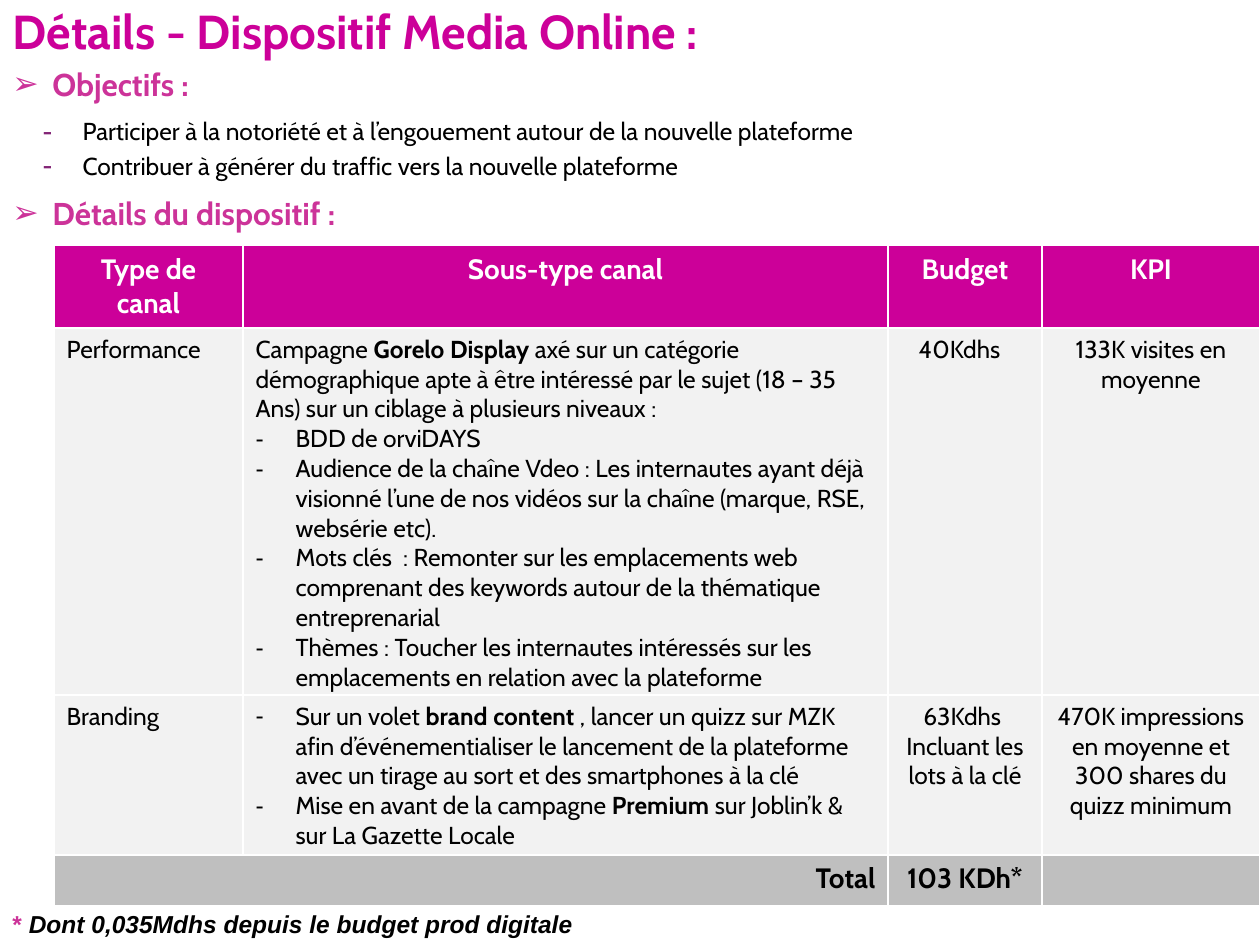
import pptx
import pptx.util
import pptx.dml.color
import pptx.enum.text
import pptx.oxml.ns
import lxml.etree

SCALE = 914400 / 126
HEX = {
    "pink": "CC0099",
    "rose": "CC3399",
    "plum": "832476",
    "black": "000000",
    "white": "FFFFFF",
    "pale": "F2F2F2",
    "grey": "BFBFBF",
}
ALIGN = pptx.enum.text.PP_ALIGN
ANCHOR = pptx.enum.text.MSO_ANCHOR

HEAD = ["Type de canal", "Sous-type canal", "Budget", "KPI"]
ROWS = [
    [
        ["Performance"],
        [
            "Campagne |Gorelo Display| axé sur un catégorie démographique apte à être "
            "intéressé par le sujet (18 – 35 Ans) sur un ciblage à plusieurs niveaux :",
            "- BDD de orviDAYS",
            "- Audience de la chaîne Vdeo : Les internautes ayant déjà visionné l’une "
            "de nos vidéos sur la chaîne (marque, RSE, websérie etc).",
            "- Mots clés  : Remonter sur les emplacements web comprenant des keywords "
            "autour de la thématique entreprenarial",
            "- Thèmes : Toucher les internautes intéressés sur les emplacements en "
            "relation avec la plateforme",
        ],
        ["40Kdhs  "],
        ["133K visites en", "moyenne"],
    ],
    [
        ["Branding"],
        [
            "- Sur un volet |brand content |, lancer un quizz sur MZK afin "
            "d’événementialiser le lancement de la plateforme avec un tirage au sort "
            "et des smartphones à la clé",
            "- Mise en avant de la campagne |Premium| sur Joblin’k & sur La Gazette Locale",
        ],
        ["63Kdhs ", "Incluant les lots à la clé"],
        ["470K impressions en moyenne et 300 shares du quizz minimum"],
    ],
]
GOALS = [
    "- Participer à la notoriété et à l’engouement autour de la nouvelle plateforme",
    "- Contribuer à générer du traffic vers la nouvelle plateforme",
]


def px(num):
    return pptx.util.Emu(round(num * SCALE))


def rgb(name):
    return pptx.dml.color.RGBColor.from_string(HEX[name])


def place(shape, box):
    shape.left, shape.top, shape.width, shape.height = map(px, box)


def mark(para, sign, tint=None, size=None):
    prop = para._p.get_or_add_pPr()
    prop.set("marL", str(px(40)))
    prop.set("indent", str(px(-40)))

    def add(tag, root=prop, **attrs):
        return lxml.etree.SubElement(root, pptx.oxml.ns.qn(tag), **attrs)

    if tint:
        add("a:srgbClr", add("a:buClr"), val=HEX[tint])
    if size:
        add("a:buSzPct", val=str(size * 1000))
    add("a:buFont", typeface="Arial")
    add("a:buChar", char=sign)


def style(font, face, size, tint, bold, slant=False):
    font.name = face
    font.size = pptx.util.Pt(size)
    font.bold = bold
    font.italic = slant
    font.color.rgb = rgb(tint)


def write(frame, lines, face="Cabin", size=14, tint="black", bold=False,
          align=ALIGN.LEFT, anchor=ANCHOR.TOP, lead=None, gap=None,
          dot=None, alt=None):
    frame.word_wrap = True
    frame.vertical_anchor = anchor
    base = dict(face=face, size=size, tint=tint, bold=bold)
    for row, line in enumerate(lines):
        para = frame.add_paragraph() if row else frame.paragraphs[0]
        para.alignment = align
        if lead:
            para.line_spacing = lead
        if gap is not None:
            para.space_before = pptx.util.Pt(gap)
        sign, rest = line[:1], line[2:]
        if sign in ("-", "➢"):
            mark(para, sign, **(dot or {}))
            line = rest
        for turn, part in enumerate(line.split("|")):
            if part:
                run = para.add_run()
                run.text = part
                style(run.font, **(base | (alt or {"bold": True}) if turn % 2 else base))


def title(slide, box):
    shape = slide.shapes.title
    place(shape, box)
    shape.text_frame.auto_size = pptx.enum.text.MSO_AUTO_SIZE.NONE
    write(shape.text_frame, ["Détails - Dispositif Media Online :"], size=27.2,
          tint="pink", bold=True, anchor=ANCHOR.MIDDLE, lead=0.7)


def goals(slide, box):
    shape = slide.placeholders[1]
    place(shape, box)
    shape.text_frame.auto_size = pptx.enum.text.MSO_AUTO_SIZE.NONE
    write(shape.text_frame, GOALS, gap=2.8, dot=dict(tint="plum", size=120))


def label(slide, box, line, **form):
    shape = slide.shapes.add_textbox(*map(px, box))
    write(shape.text_frame, [line], **form)


def cell(table, row, col, lines, fill, **form):
    spot = table.cell(row, col)
    spot.fill.solid()
    spot.fill.fore_color.rgb = rgb(fill)
    write(spot.text_frame, lines, **form)
    return spot


def plan(slide, box, wide, tall):
    table = slide.shapes.add_table(len(tall), len(wide), *map(px, box)).table
    table.horz_banding = False
    for col, size in zip(table.columns, wide):
        col.width = px(size)
    for row, size in zip(table.rows, tall):
        row.height = px(size)
    for col, text in enumerate(HEAD):
        spot = cell(table, 0, col, [text], "pink", size=16, tint="white",
                    bold=True, align=ALIGN.CENTER)
        spot.margin_left = spot.margin_right = px(15)
        spot.margin_top = spot.margin_bottom = px(8)
    for row, texts in enumerate(ROWS, 1):
        for col, lines in enumerate(texts):
            cell(table, row, col, lines, "pale",
                 align=ALIGN.CENTER if col > 1 else ALIGN.LEFT)
    last = len(tall) - 1
    table.cell(last, 0).merge(table.cell(last, 1))
    for col, text, align in ((0, "Total", ALIGN.RIGHT),
                             (2, "103 KDh*", ALIGN.CENTER),
                             (3, "", ALIGN.CENTER)):
        cell(table, last, col, [text], "grey", size=16, bold=True, align=align)


def main():
    deck = pptx.Presentation()
    deck.slide_width, deck.slide_height = px(1260), px(945)
    slide = deck.slides.add_slide(deck.slide_layouts[1])
    title(slide, (0, 10, 1134, 55))
    for top, text in ((57, "➢ Objectifs :"), (186, "➢ Détails du dispositif :")):
        label(slide, (0, top, 689, 53), text, size=18, tint="rose", bold=True,
              anchor=ANCHOR.MIDDLE)
    goals(slide, (30, 110, 1159, 78))
    plan(slide, (54, 245, 1206, 656), (189, 645, 154, 218), (80, 367, 160, 49))
    label(slide, (0, 903, 1076, 42),
          "* |Dont 0,035Mdhs depuis le budget prod digitale", face="Arial",
          tint="rose", bold=True, alt=dict(tint="black", slant=True))
    deck.save("out.pptx")


if __name__ == "__main__":
    main()
